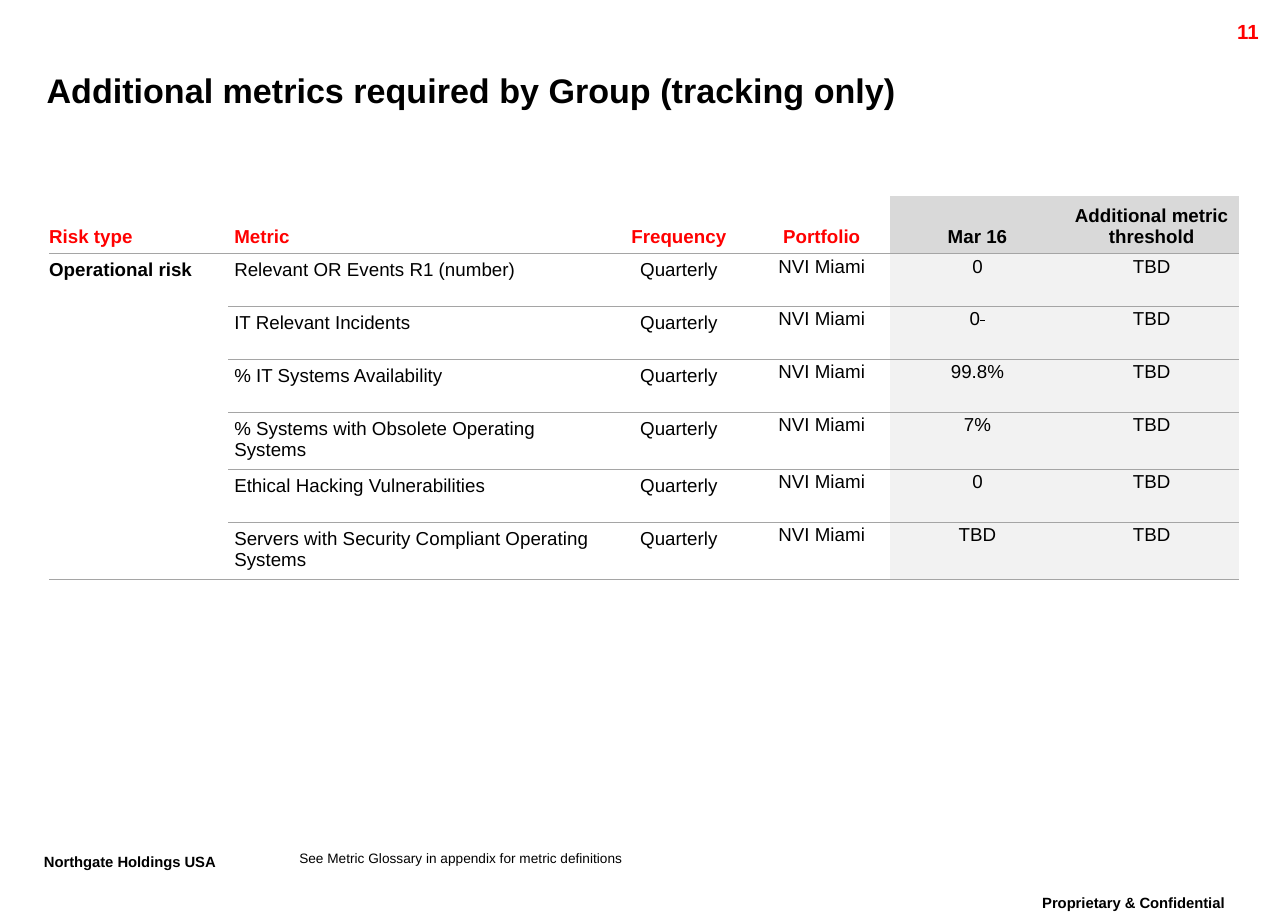
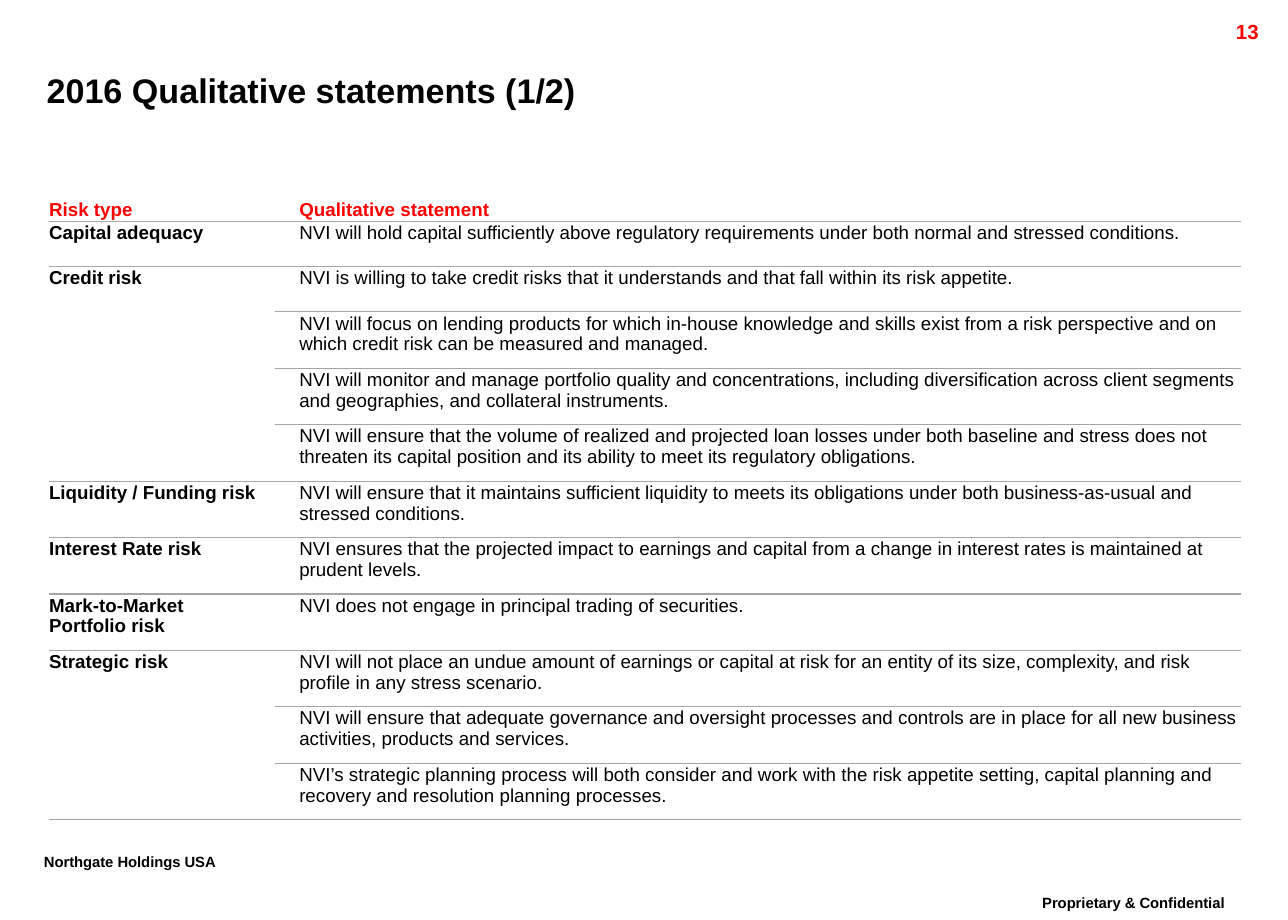
from lxml.etree import SubElement
from pptx import Presentation
from pptx.dml.color import RGBColor
from pptx.enum.text import MSO_ANCHOR as Anchor, PP_ALIGN as Align
from pptx.oxml.ns import qn
from pptx.util import Inches, Pt

WIDTH, HEIGHT = 10.5, 7.5
FONT = "Arial"
COLORS = {"ink": "000000", "accent": "FF0000", "rule": "A5A5A5",
          "head": "D9D9D9", "band": "F2F2F2"}
NO_STYLE = "{2D5ABB26-0587-4C30-8999-92F81FD0307C}"
INSET = (0.1, 0.05, 0.1, 0.05)

METRIC_HEADS = ["Risk type", "Metric", "Frequency", "Portfolio", "Mar 16",
                "Additional metric threshold"]
# Each metric with its March value; a second part is struck through
METRICS = [
    ("Relevant OR Events R1 (number)", "0"),
    ("IT Relevant Incidents", ("0", " ")),
    ("% IT Systems Availability", "99.8%"),
    ("% Systems with Obsolete Operating Systems", "7%"),
    ("Ethical Hacking Vulnerabilities", "0"),
    ("Servers with Security Compliant Operating Systems", "TBD"),
]
STATEMENT_HEADS = ["Risk type", "Qualitative statement"]
STATEMENTS = [
    ("Capital adequacy", [
        "NVI will hold capital sufficiently above regulatory requirements under both normal and "
        "stressed conditions."]),
    ("Credit risk", [
        "NVI is willing to take credit risks that it understands and that fall within its risk "
        "appetite.",
        "NVI will focus on lending products for which in-house knowledge and skills exist from a "
        "risk perspective and on which credit risk can be measured and managed.",
        "NVI will monitor and manage portfolio quality and concentrations, including "
        "diversification across client segments and geographies, and collateral instruments.",
        "NVI will ensure that the volume of realized and projected loan losses under both "
        "baseline and stress does not threaten its capital position and its ability to meet its "
        "regulatory obligations."]),
    ("Liquidity / Funding risk", [
        "NVI will ensure that it maintains sufficient liquidity to meets its obligations under "
        "both business-as-usual and stressed conditions."]),
    ("Interest Rate risk", [
        "NVI ensures that the projected impact to earnings and capital from a change in interest "
        "rates is maintained at prudent levels."]),
    ("Mark-to-Market\vPortfolio risk", [
        "NVI does not engage in principal trading of securities."]),
    ("Strategic risk", [
        "NVI will not place an undue amount of earnings or capital at risk for an entity of its "
        "size, complexity, and risk profile in any stress scenario.",
        "NVI will ensure that adequate governance and oversight processes and controls are in "
        "place for all new business activities, products and services.",
        "NVI’s strategic planning process will both consider and work with the risk appetite "
        "setting, capital planning and recovery and resolution planning processes."]),
]


def write(frame, text, size=11, color="ink", bold=False, align=Align.LEFT,
          spacing=None, raised=False):
    """Put text in a frame; a pair of texts has its second part struck."""
    plain, struck = (text, "") if isinstance(text, str) else text
    frame.word_wrap = True
    line = frame.paragraphs[0]
    line.text = plain
    line.alignment = align
    if spacing:
        line.line_spacing = spacing
    if struck:
        extra = line.add_run()
        extra.text = struck
        extra.font._element.set("strike", "sngStrike")
    for run in line.runs:
        font = run.font
        font.name, font.size, font.bold = FONT, Pt(size), bold
        font.color.rgb = RGBColor.from_string(COLORS[color])
        if raised:
            font._element.set("baseline", "30000")


def set_insets(target, insets):
    (target.margin_left, target.margin_top,
     target.margin_right, target.margin_bottom) = map(Inches, insets)


def add_label(slide, box, text, insets=INSET, anchor=Anchor.TOP, **style):
    frame = slide.shapes.add_textbox(*map(Inches, box)).text_frame
    set_insets(frame, insets)
    frame.vertical_anchor = anchor
    write(frame, text, **style)


def add_page(deck, title, number):
    """Blank slide with the shared title, page number and footers."""
    slide = deck.slides.add_slide(deck.slide_layouts[6])
    add_label(slide, (0.38, 0.49, 9.48, 0.48), title, insets=(0, 0, 0, 0),
              anchor=Anchor.MIDDLE, size=20, bold=True)
    add_label(slide, (9.36, 0.11, 1, 0.24), number, size=12, color="accent",
              bold=True, align=Align.RIGHT)
    footer = dict(size=15, bold=True, spacing=0.86, raised=True)
    add_label(slide, (0.26, 6.91, 1.91, 0.35), "Northgate Holdings USA", **footer)
    add_label(slide, (8.15, 7.25, 2.18, 0.35), "Proprietary & Confidential",
              align=Align.CENTER, **footer)
    return slide


def underline(cell):
    line = SubElement(cell._tc.get_or_add_tcPr(), qn("a:lnB"), w=str(Pt(0.75)))
    fill = SubElement(line, qn("a:solidFill"))
    SubElement(fill, qn("a:srgbClr"), val=COLORS["rule"])


def add_grid(slide, corner, columns, rows):
    """Unstyled table with the given column widths and row heights."""
    box = (*corner, sum(columns), sum(rows))
    table = slide.shapes.add_table(len(rows), len(columns), *map(Inches, box)).table
    table._tbl.tblPr.find(qn("a:tableStyleId")).text = NO_STYLE
    table.first_row = table.horz_banding = False
    for column, width in zip(table.columns, columns):
        column.width = Inches(width)
    for row, height in zip(table.rows, rows):
        row.height = Inches(height)
    return table


def fill_cell(cell, text, insets, anchor=Anchor.TOP, fill=None, **style):
    underline(cell)
    if fill:
        cell.fill.solid()
        cell.fill.fore_color.rgb = RGBColor.from_string(COLORS[fill])
    else:
        cell.fill.background()
    set_insets(cell, insets)
    cell.vertical_anchor = anchor
    write(cell.text_frame, text, **style)


def fill_group(table, top, count, text, insets):
    """Bold risk type spanning the rows of its group."""
    first, last = table.cell(top, 0), table.cell(top + count - 1, 0)
    if count > 1:
        first.merge(last)
        underline(last)
    fill_cell(first, text, insets, bold=True)


def add_metrics(slide, corner):
    table = add_grid(slide, corner, [1.46, 3.07, 1.21, 1.12, 1.42, 1.42],
                     [0.47] + [0.43] * len(METRICS))
    pad, flush = (0.05,) * 4, (0, 0.05, 0.05, 0.05)
    # Heading row, shaded over the result columns
    for col, head in enumerate(METRIC_HEADS):
        shaded = col > 3
        fill_cell(table.cell(0, col), head, pad if col else flush, Anchor.BOTTOM,
                  fill="head" if shaded else None, bold=True,
                  color="ink" if shaded else "accent",
                  align=Align.CENTER if col > 1 else Align.LEFT)
    # Metrics
    fill_group(table, 1, len(METRICS), "Operational risk", flush)
    for row, (metric, value) in enumerate(METRICS, 1):
        fill_cell(table.cell(row, 1), metric, pad)
        entries = ["Quarterly", "NVI Miami", value, "TBD"]
        for col, entry in enumerate(entries, 2):
            fill_cell(table.cell(row, col), entry, pad, align=Align.CENTER,
                      fill="band" if col > 3 else None,
                      spacing=Pt(10) if col > 2 else None)


def add_statements(slide, corner):
    count = sum(len(group) for _, group in STATEMENTS)
    table = add_grid(slide, corner, [1.84, 7.88],
                     [0.19] + [0.37] * 2 + [0.46] * (count - 2))
    flush, indented = (0, 0.01, 0.01, 0), (0.2, 0.01, 0.01, 0)
    for col, (head, insets) in enumerate(zip(STATEMENT_HEADS, (flush, indented))):
        fill_cell(table.cell(0, col), head, insets, Anchor.MIDDLE,
                  color="accent", bold=True)
    # Statements grouped by risk type
    row = 1
    for risk, group in STATEMENTS:
        fill_group(table, row, len(group), risk, flush)
        for statement in group:
            fill_cell(table.cell(row, 1), statement, indented)
            row += 1


def main():
    deck = Presentation()
    deck.slide_width, deck.slide_height = Inches(WIDTH), Inches(HEIGHT)

    metrics = add_page(deck, "Additional metrics required by Group (tracking only)", "11")
    add_metrics(metrics, (0.4, 1.6))
    add_label(metrics, (2.44, 6.93, 5.47, 0.13),
              "See Metric Glossary in appendix for metric definitions",
              insets=(0, 0, 0, 0), size=8)

    statements = add_page(deck, "2016 Qualitative statements (1/2)", "13")
    add_statements(statements, (0.4, 1.61))

    deck.save("out.pptx")


if __name__ == "__main__":
    main()
